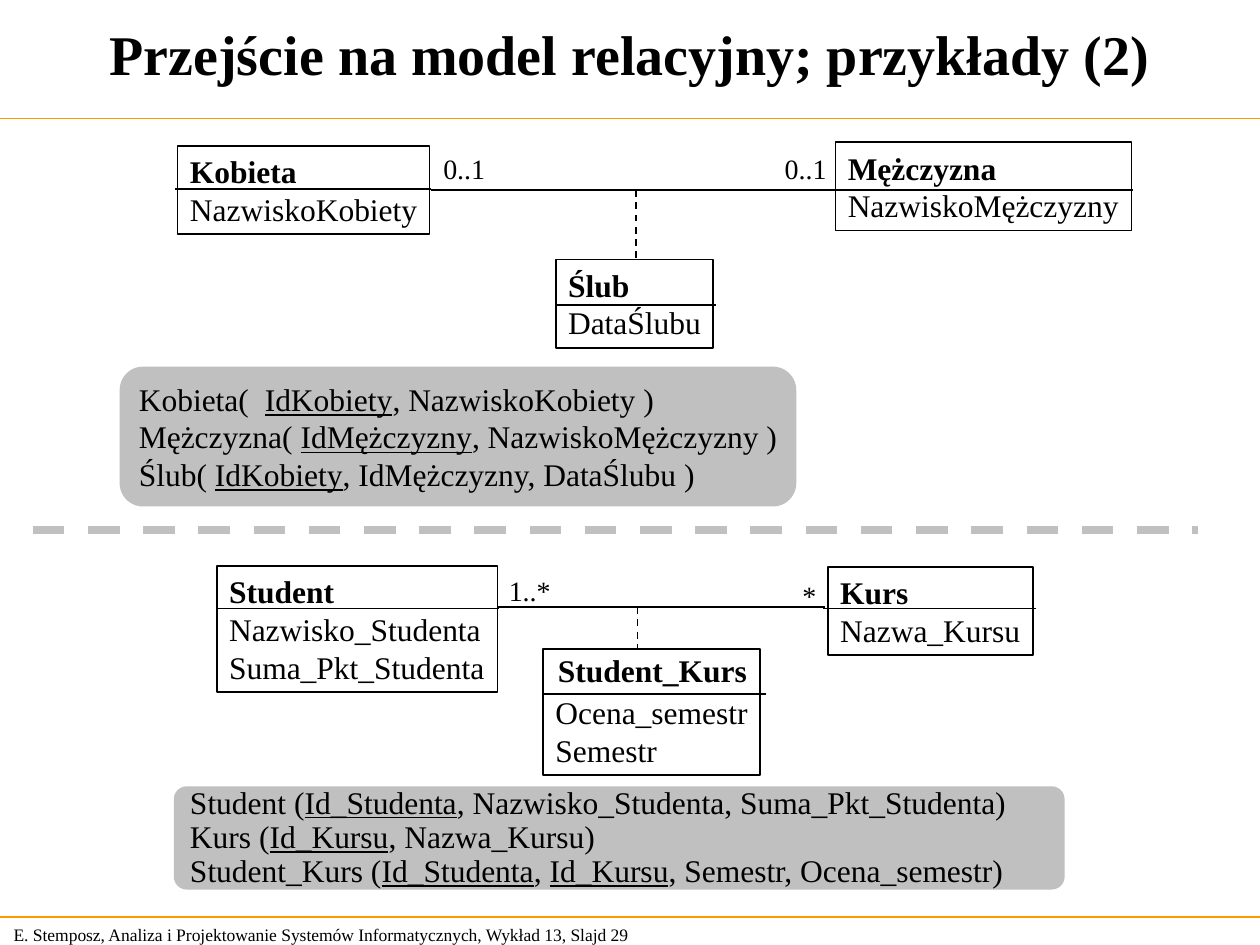
from lxml.etree import SubElement
from pptx import Presentation
from pptx.dml.color import RGBColor
from pptx.enum.dml import MSO_LINE
from pptx.enum.shapes import MSO_CONNECTOR, MSO_SHAPE
from pptx.enum.text import MSO_ANCHOR, MSO_AUTO_SIZE, PP_ALIGN
from pptx.oxml.ns import qn
from pptx.util import Inches, Pt

BLACK, GREY, ORANGE = "000000", "C0C0C0", "FF9900"
FONT = "Times New Roman"
FIXED = {"word_wrap": True, "auto_size": MSO_AUTO_SIZE.NONE, "margin_right": Inches(0)}


def set_colour(target, value):
    target.rgb = RGBColor.from_string(value)


def set_values(target, values):
    for name, value in values.items():
        setattr(target, name, value)


def shift(box, left, top, width, height):
    return box[0] + left, box[1] + top, width, height


def write(shape, lines, size=18, bold_lines=0, frame=None, para_format=None):
    text = shape.text_frame
    set_values(text, {"word_wrap": False, "auto_size": MSO_AUTO_SIZE.NONE,
                      "vertical_anchor": MSO_ANCHOR.TOP, **(frame or {})})
    for index, line in enumerate(lines):
        para = text.add_paragraph() if index else text.paragraphs[0]
        set_values(para, {"alignment": PP_ALIGN.LEFT, **(para_format or {})})
        for part, words in enumerate(line.split("|")):
            span = para.add_run()
            span.text = words
            set_values(span.font, {"name": FONT, "size": Pt(size), "bold": index < bold_lines,
                                   "underline": part % 2 == 1})
            set_colour(span.font.color, BLACK)


def add_label(page, box, words, **style):
    write(page.shapes.add_textbox(*map(Inches, box)), [words], **style)


def add_line(page, start, end, colour=BLACK, width=1, dash=None):
    line = page.shapes.add_connector(MSO_CONNECTOR.STRAIGHT, *map(Inches, start + end))
    set_values(line.line, {"width": Pt(width), "dash_style": dash})
    set_colour(line.line.color, colour)
    SubElement(line._element.spPr, qn("a:effectLst"))


def add_class(page, box, lines, rule, bold_lines=1, anchor=MSO_ANCHOR.TOP):
    shape = page.shapes.add_shape(MSO_SHAPE.RECTANGLE, *map(Inches, box))
    shape.shadow.inherit = False
    shape.fill.background()
    shape.line.width = Pt(1)
    set_colour(shape.line.color, BLACK)
    write(shape, lines, bold_lines=bold_lines, frame={**FIXED, "vertical_anchor": anchor})
    left, right, height = rule
    add_line(page, (box[0] + left, box[1] + height), (box[0] + right, box[1] + height))


def add_schema(page, box, lines, corner, anchor=MSO_ANCHOR.TOP, para_format=None):
    shape = page.shapes.add_shape(MSO_SHAPE.ROUNDED_RECTANGLE, *map(Inches, box))
    shape.shadow.inherit = False
    shape.adjustments[0] = corner
    shape.fill.solid()
    set_colour(shape.fill.fore_color, GREY)
    shape.line.fill.background()
    write(shape, lines, frame={**FIXED, "vertical_anchor": anchor}, para_format=para_format)


def add_association(page, box, left, right, height, middle, drop):
    x, y = box[0], box[1] + height
    add_line(page, (x + left, y), (x + right, y))
    add_line(page, (x + middle, y), (x + middle, y + drop), dash=MSO_LINE.DASH)


def add_frame(page, box):
    left, top, width, height = box
    add_label(page, (left + 0.01, top + height - 0.22, 5.24, 0.27),
              "E. Stemposz, Analiza i Projektowanie Systemów Informatycznych, Wykład 13, Slajd 29",
              size=10, frame={"vertical_anchor": MSO_ANCHOR.MIDDLE})
    for y in (top + 0.94, top + 7.28):
        add_line(page, (left, y), (left + width, y), ORANGE)
    add_label(page, (left, top, width, 0.85), "Przejście na model relacyjny; przykłady (2)",
              size=32, bold_lines=1, para_format={"alignment": PP_ALIGN.CENTER},
              frame={"word_wrap": True, "vertical_anchor": MSO_ANCHOR.MIDDLE})


def add_marriage(page, box):
    add_class(page, shift(box, 3.46, 0.93, 1.25, 0.7), ["Ślub", "DataŚlubu"], (0.01, 1.27, 0.36))
    add_class(page, shift(box, 5.68, 0, 2.35, 0.7), ["Mężczyzna", "NazwiskoMężczyzny"],
              (0, 2.36, 0.38))
    add_class(page, shift(box, 0.46, 0.03, 2, 0.7), ["Kobieta", "NazwiskoKobiety"],
              (-0.02, 2.01, 0.34))
    add_association(page, box, 2.47, 5.68, 0.38, 4.1, 0.54)
    for left in (2.47, 5.18):
        add_label(page, shift(box, left, 0.02, 0.53, 0.37), "0..1", size=16)
    add_schema(page, shift(box, 0, 1.78, 5.37, 1.11), [
        "Kobieta(  |IdKobiety|, NazwiskoKobiety )",
        "Mężczyzna( |IdMężczyzny|, NazwiskoMężczyzny )",
        "Ślub( |IdKobiety|, IdMężczyzny, DataŚlubu )",
    ], 0.167)


def add_course(page, box):
    add_schema(page, shift(box, 0, 1.75, 7.07, 0.82), [
        "Student (|Id_Studenta|, Nazwisko_Studenta, Suma_Pkt_Studenta)",
        "Kurs (|Id_Kursu|, Nazwa_Kursu)",
        "Student_Kurs (|Id_Studenta|, |Id_Kursu|, Semestr, Ocena_semestr)",
    ], 0.125, MSO_ANCHOR.MIDDLE, {"line_spacing": 0.9})
    add_class(page, shift(box, 0.34, 0, 2.23, 1),
              ["Student", "Nazwisko_Studenta", "Suma_Pkt_Studenta"], (0.01, 2.24, 0.34))
    add_class(page, shift(box, 5.19, 0.01, 1.63, 0.7), ["Kurs", "Nazwa_Kursu"],
              (-0.04, 1.65, 0.33))
    add_association(page, box, 2.57, 5.17, 0.33, 3.68, 0.34)
    add_label(page, shift(box, 4.89, 0.05, 0.31, 0.37), "*", size=16)
    add_label(page, shift(box, 2.56, 0.01, 0.53, 0.37), "1..*", size=16)
    add_class(page, shift(box, 2.93, 0.66, 1.72, 1), ["Ocena_semestr", "Semestr"],
              (0, 1.77, 0.36), 0, MSO_ANCHOR.BOTTOM)
    add_label(page, shift(box, 2.95, 0.63, 1.7, 0.4), "Student_Kurs", bold_lines=1)


def main():
    deck = Presentation()
    set_values(deck, {"slide_width": Inches(10), "slide_height": Inches(7.5)})
    page = deck.slides.add_slide(deck.slide_layouts[6])
    add_frame(page, (0, 0, 10, 7.5))
    add_marriage(page, (0.95, 1.13, 8.04, 2.89))
    add_line(page, (0.26, 4.21), (9.51, 4.21), GREY, 4.5, MSO_LINE.DASH)
    add_course(page, (1.38, 4.49, 7.07, 2.57))
    deck.save("out.pptx")


if __name__ == "__main__":
    main()
